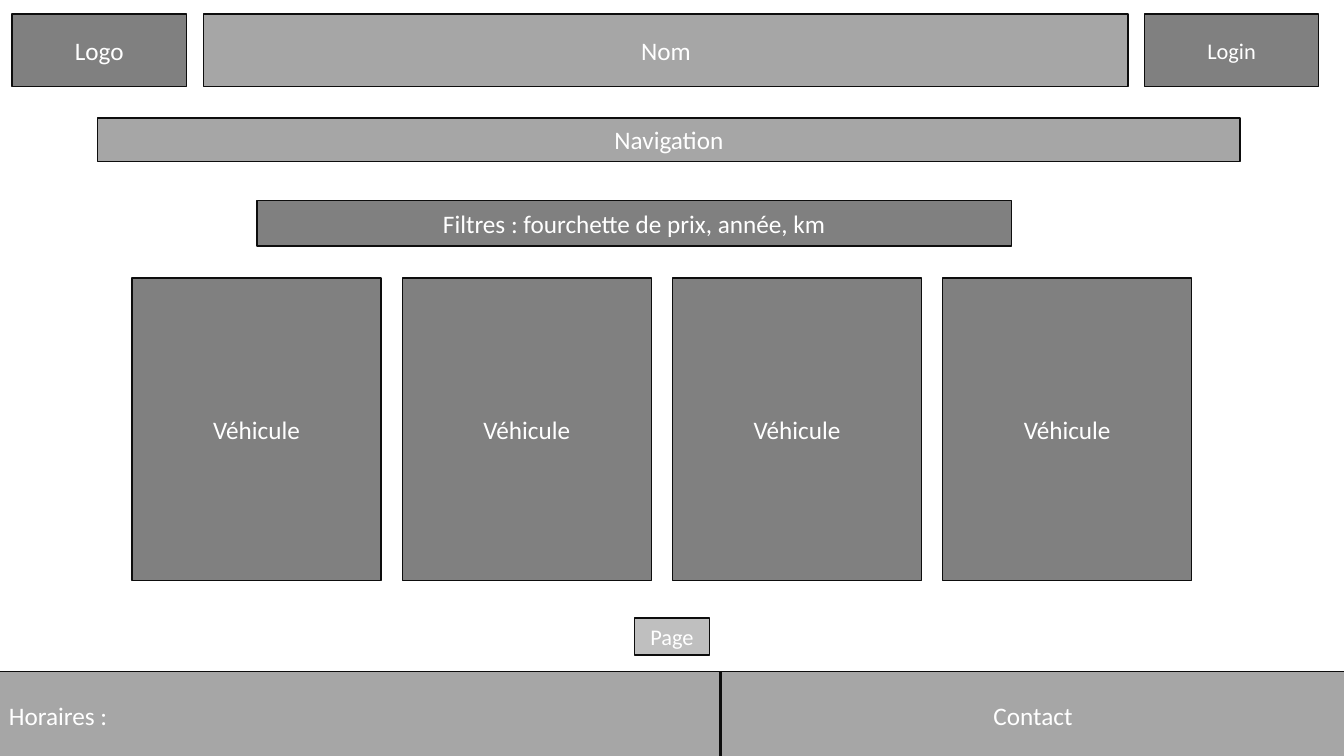
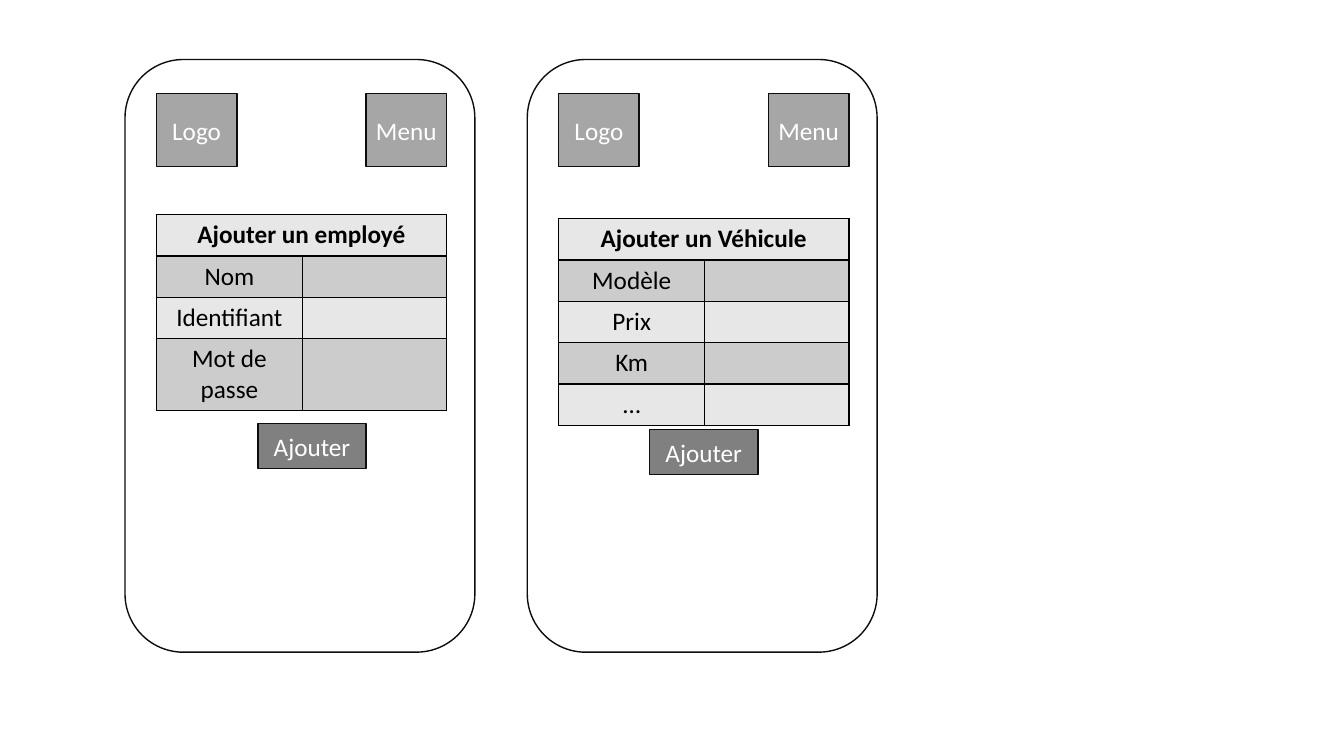
from lxml.etree import SubElement as Sub
from pptx import Presentation
from pptx.dml.color import RGBColor as RGB
from pptx.enum.shapes import MSO_SHAPE as Shape
from pptx.enum.text import MSO_ANCHOR as Anchor, PP_ALIGN as Align
from pptx.oxml.ns import qn
from pptx.util import Inches, Pt

HUE = {
    "dark": "808080", "mid": "A6A6A6", "pale": "BFBFBF", "edge": "0D0D0D",
    "white": "FFFFFF", "black": "000000", "light": "E7E7E7", "band": "CCCCCC",
}
FONT = "Calibri"


def color(name):
    """Return the named colour."""
    return RGB.from_string(HUE[name])


def write(frame, text, hue, size=18, align=Align.CENTER, bold=False):
    """Put one styled paragraph in a text frame."""
    para = frame.paragraphs[0]
    para.text = text
    para.alignment = align
    font = para.font
    font.name, font.size, font.bold = FONT, Pt(size), bold
    font.color.rgb = color(hue)


def outline(slide, kind, left, top, width, height):
    """Add a shape with the shared thin edge."""
    shape = slide.shapes.add_shape(
        kind, Inches(left), Inches(top), Inches(width), Inches(height))
    shape.shadow.inherit = False
    shape.line.color.rgb = color("edge")
    shape.line.width = Pt(1)
    return shape


def block(slide, text, area, fill, size=18, align=Align.CENTER):
    """Add a filled block with a label."""
    shape = outline(slide, Shape.RECTANGLE, *area)
    shape.fill.solid()
    shape.fill.fore_color.rgb = color(fill)
    frame = shape.text_frame
    frame.word_wrap = align != Align.CENTER
    frame.vertical_anchor = Anchor.MIDDLE
    write(frame, text, "white", size, align)


def border(cell):
    """Draw thin black borders round a cell."""
    props = cell._tc.get_or_add_tcPr()
    for side in ("lnL", "lnR", "lnT", "lnB"):
        line = Sub(props, qn("a:" + side), w=str(Pt(1)))
        fill = Sub(line, qn("a:solidFill"))
        Sub(fill, qn("a:srgbClr"), val=HUE["black"])


def form(slide, left, top, title, labels):
    """Add a two-column form under a merged heading."""
    rows = [title] + labels
    high = 0.41
    table = slide.shapes.add_table(
        len(rows), 2, Inches(left), Inches(top),
        Inches(2.88), Inches(high * len(rows))).table
    for col, width in zip(table.columns, (1.45, 1.43)):
        col.width = Inches(width)
    table.cell(0, 0).merge(table.cell(0, 1))
    for i, label in enumerate(rows):
        table.rows[i].height = Inches(high)
        for j, text in enumerate((label, "")):
            cell = table.cell(i, j)
            border(cell)
            cell.fill.solid()
            cell.fill.fore_color.rgb = color("band" if i % 2 else "light")
            write(cell.text_frame, text, "black", bold=i == 0)


def phone(slide, left, top, title, labels, button):
    """Add a phone screen with a form and its button."""
    outline(slide, Shape.ROUNDED_RECTANGLE,
            left, 0.59, 3.47, 5.88).fill.background()
    for text, shift in (("Logo", 0.31), ("Menu", 2.39)):
        block(slide, text, (left + shift, 0.93, 0.8, 0.72), "mid")
    form(slide, left + 0.31, top, title, labels)
    block(slide, "Ajouter", button, "dark")


def browse(slide):
    """Lay out the vehicle list page."""
    for i in range(4):
        block(slide, "Véhicule", (1.31 + 2.68 * i, 2.76, 2.47, 3), "dark")
    block(slide, "Filtres : fourchette de prix, année, km",
          (2.55, 1.99, 7.48, 0.45), "dark")
    block(slide, "Page", (6.29, 6.13, 0.75, 0.37), "pale", 16)
    block(slide, "Login", (11.35, 0.14, 1.73, 0.72), "dark", 16)
    block(slide, "Logo", (0.12, 0.14, 1.73, 0.72), "dark")
    block(slide, "Nom", (2.02, 0.14, 9.17, 0.72), "mid")
    block(slide, "Navigation", (0.97, 1.17, 11.33, 0.43), "mid")
    block(slide, "Horaires : ", (-0.01, 6.66, 7.15, 0.87), "mid",
          align=Align.LEFT)
    block(slide, "Contact", (7.15, 6.66, 6.19, 0.87), "mid")


def manage(slide):
    """Lay out the two phone screens."""
    phone(slide, 1.24, 2.13, "Ajouter un employé",
          ["Nom", "Identifiant", "Mot de passe"], (2.56, 4.2, 1.07, 0.45))
    phone(slide, 5.23, 2.17, "Ajouter un Véhicule",
          ["Modèle", "Prix", "Km", "…"], (6.44, 4.26, 1.08, 0.45))


def main():
    """Build and save both slides."""
    deck = Presentation()
    deck.slide_width, deck.slide_height = Inches(13.33), Inches(7.5)
    for draw in (browse, manage):
        draw(deck.slides.add_slide(deck.slide_layouts[6]))
    deck.save("out.pptx")


main()
